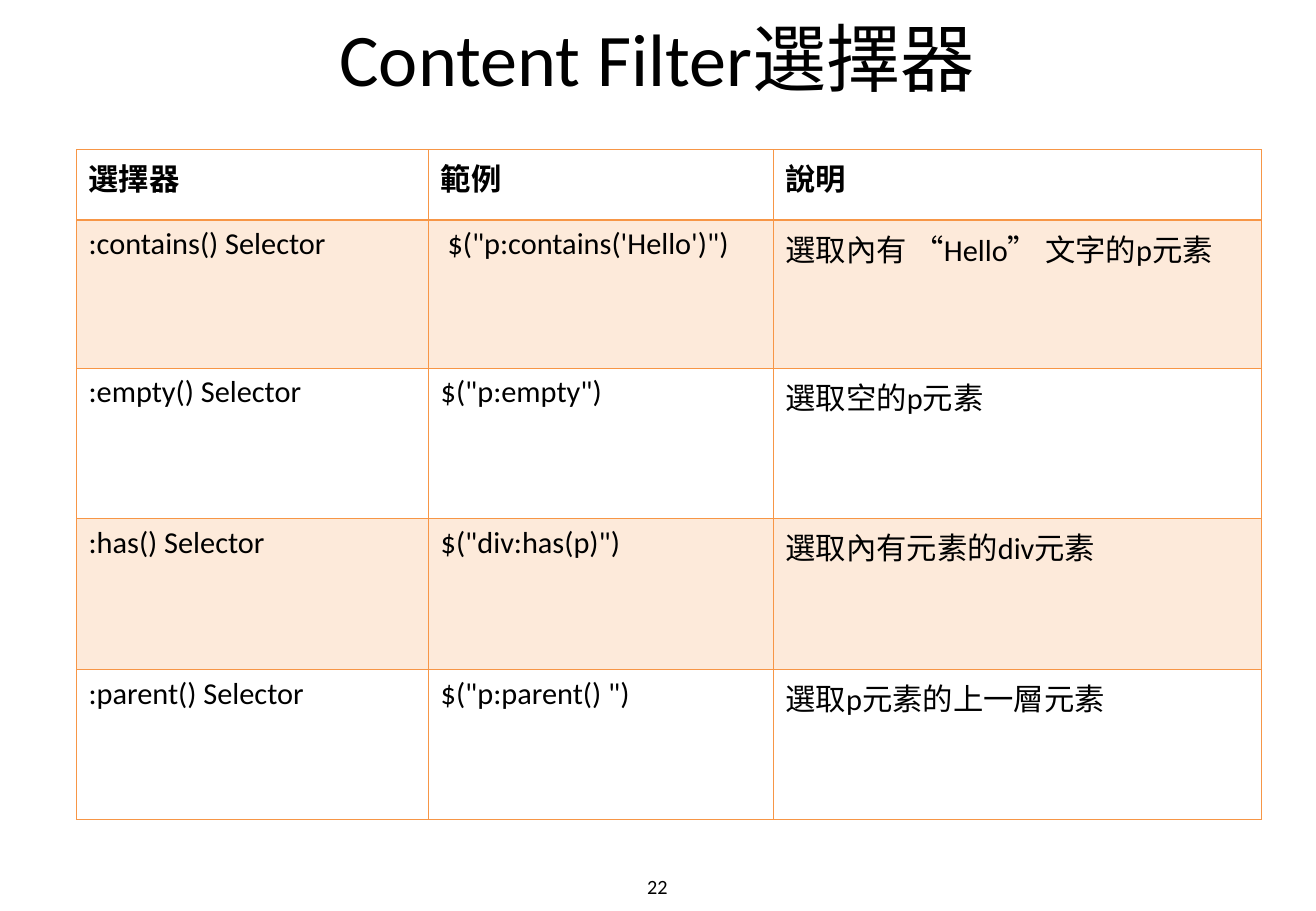
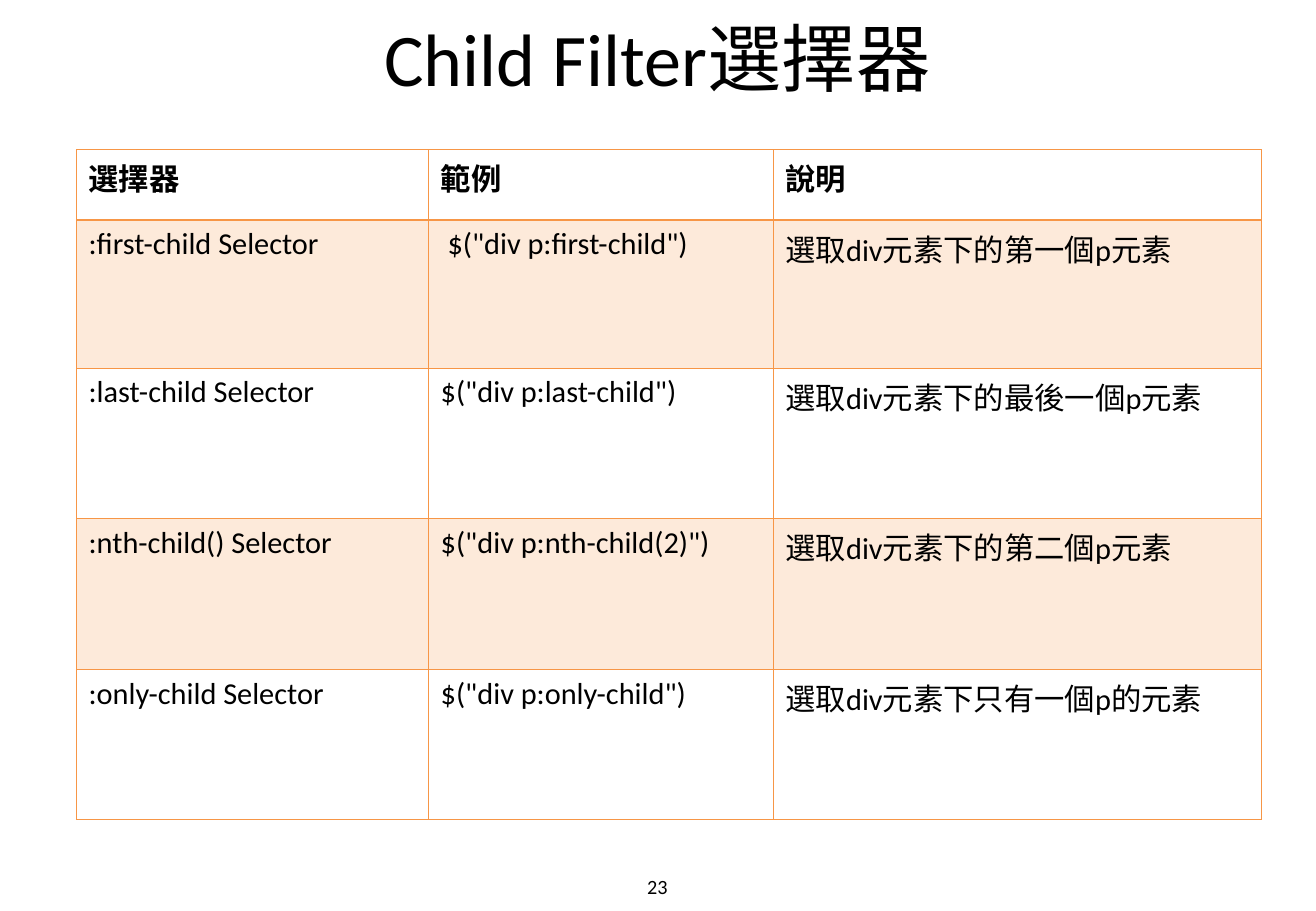
from lxml import etree
from pptx import Presentation
from pptx import util as u
from pptx.dml.color import RGBColor
from pptx.enum import text
from pptx.oxml.ns import qn

PX = 9144  # 100 px to the inch
FONT, INK, ACCENT = "Calibri", "000000", "F79646"
BAND_ALPHA = 20
THIN, THICK = 0.45, 0.96

SLIDE = (1084, 750)
TITLE_BOX = (54, 0, 975, 94)
NUMBER_BOX = (370, 710, 343, 40)
TABLE_BOX = (63, 123, 976, 552)
COLS = (290, 284, 402)
ROWS = (58, 122, 124, 124, 124)
HEADER = ("選擇器", "範例", "說明")

SLIDES = [
    ("Content Filter選擇器", 22, [
        (":contains() Selector", " $(\"p:contains('Hello')\")", "選取內有 “Hello” 文字的p元素"),
        (":empty() Selector", '$("p:empty")', "選取空的p元素"),
        (":has() Selector", '$("div:has(p)")', "選取內有元素的div元素"),
        (":parent() Selector", '$("p:parent() ")', "選取p元素的上一層元素"),
    ]),
    ("Child Filter選擇器", 23, [
        (":first-child Selector", ' $("div p:first-child")', "選取div元素下的第一個p元素"),
        (":last-child Selector", '$("div p:last-child")', "選取div元素下的最後一個p元素"),
        (":nth-child() Selector", '$("div p:nth-child(2)")', "選取div元素下的第二個p元素"),
        (":only-child Selector", '$("div p:only-child")', "選取div元素下只有一個p的元素"),
    ]),
]


def rgb(color):
    return RGBColor.from_string(color)


def emu(lengths):
    return [n * PX for n in lengths]


def write(tf, words, size, bold=False, align=text.PP_ALIGN.LEFT):
    tf.word_wrap = True
    p = tf.paragraphs[0]
    p.alignment = align
    r = p.add_run()
    r.text = words
    r.font.name, r.font.size, r.font.bold = FONT, u.Pt(size), bold
    r.font.color.rgb = rgb(INK)


def centre_line(sp, words, size):
    tf = sp.text_frame
    tf.auto_size = text.MSO_AUTO_SIZE.NONE
    tf.vertical_anchor = text.MSO_ANCHOR.MIDDLE
    write(tf, words, size, align=text.PP_ALIGN.CENTER)


def add_title(s, box, words):
    sp = s.shapes.title
    sp.left, sp.top, sp.width, sp.height = emu(box)
    centre_line(sp, words, 44)


def add_number(s, box, number):
    centre_line(s.shapes.add_textbox(*emu(box)), str(number), 12)


def fill_cell(cell, banded):
    if not banded:
        cell.fill.background()
        return
    cell.fill.solid()
    cell.fill.fore_color.rgb = rgb(ACCENT)
    color = cell._tc.tcPr.find(".//" + qn("a:srgbClr"))
    etree.SubElement(color, qn("a:alpha"), val=str(BAND_ALPHA * 1000))


def border_cell(cell, top, bottom):
    """Put the four borders before the fill, as the schema asks."""
    sides = (("L", THIN), ("R", THIN), ("T", top), ("B", bottom))
    for i, (side, width) in enumerate(sides):
        ln = etree.Element(qn("a:ln" + side), w=str(u.Pt(width)))
        fill = etree.SubElement(ln, qn("a:solidFill"))
        etree.SubElement(fill, qn("a:srgbClr"), val=ACCENT)
        cell._tc.tcPr.insert(i, ln)


def add_selector_table(s, box, rows):
    tbl = s.shapes.add_table(len(ROWS), len(COLS), *emu(box)).table
    tbl.first_row = tbl.horz_banding = False
    for col, width in zip(tbl.columns, emu(COLS)):
        col.width = width
    for row, height in zip(tbl.rows, emu(ROWS)):
        row.height = height
    for i, words in enumerate([HEADER] + rows):
        for j, word in enumerate(words):
            cell = tbl.cell(i, j)
            write(cell.text_frame, word, 18, bold=i == 0)
            fill_cell(cell, banded=i % 2 == 1)
            border_cell(cell, THICK if i == 1 else THIN, THICK if i == 0 else THIN)


def main():
    prs = Presentation()
    prs.slide_width, prs.slide_height = emu(SLIDE)
    for title, number, rows in SLIDES:
        s = prs.slides.add_slide(prs.slide_layouts[5])
        add_title(s, TITLE_BOX, title)
        add_number(s, NUMBER_BOX, number)
        add_selector_table(s, TABLE_BOX, rows)
    prs.save("out.pptx")


if __name__ == "__main__":
    main()
